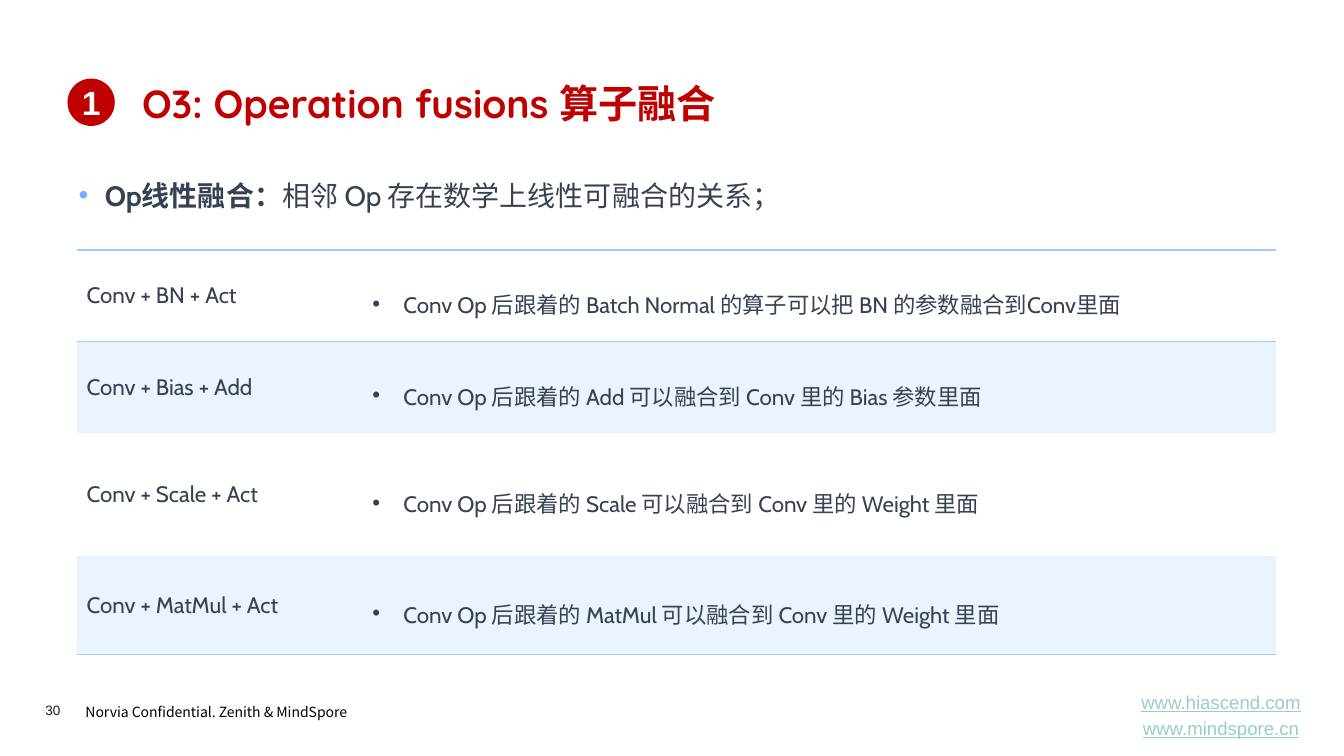
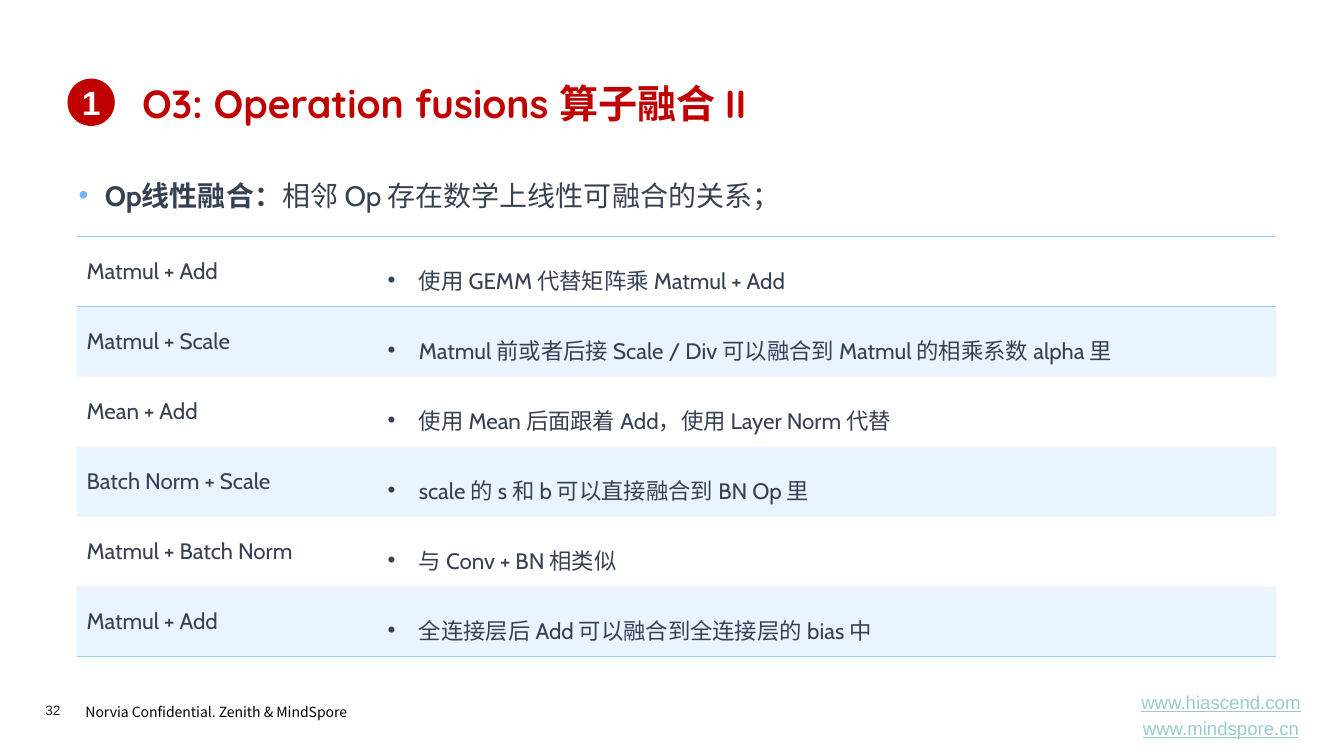
"""Build two slides on operator fusion."""
from dataclasses import dataclass

from lxml.etree import SubElement as Sub
from pptx import Presentation
from pptx.dml.color import RGBColor as Rgb
from pptx.enum.shapes import MSO_SHAPE as Shape
from pptx.enum.text import MSO_ANCHOR as Anchor, MSO_AUTO_SIZE as AutoSize, PP_ALIGN as Align
from pptx.oxml import parse_xml
from pptx.oxml.ns import nsdecls, qn
from pptx.util import Inches, Pt

NO_STYLE = "{2D5ABB26-0587-4C30-8999-92F81FD0307C}"


@dataclass(frozen=True)
class Theme:
    """Colours, fonts and type formats shared by the slides."""
    red: str = "C00000"
    sky: str = "99CCFF"
    bullet: str = "71B2FF"
    ink: str = "374154"
    cjk: str = "Noto Sans CJK SC"

    def type_style(self, part):
        """Return the font values for one part of a slide."""
        return {
            "title": dict(name="Quicksand", size=28, color=self.red, bold=True),
            "lead": dict(name="Cabin", size=20, color=self.ink, bold=True),
            "body": dict(name="Cabin", size=20, color=self.ink, bold=False),
            "cell": dict(name="Cabin", size=16, color=self.ink),
            "badge": dict(name="Arial", size=24, color="FFFFFF", bold=True),
            "footer": dict(name=self.cjk, size=10, color="000000"),
            "page": dict(name="Arial", size=9.7, color="1D1D1B"),
            "link": dict(name="Arial", size=13.3, color="99CCCC", underline=True),
        }[part]


class Deck:
    """Draw elements on the current slide, placed in percent of its size."""

    def __init__(self, theme):
        self.theme = theme
        self.prs = Presentation()
        self.prs.slide_width, self.prs.slide_height = Inches(13.34), Inches(7.5)

    def across(self, share):
        """Turn a percentage of the slide width into a length."""
        return round(self.prs.slide_width * share / 100)

    def down(self, share):
        """Turn a percentage of the slide height into a length."""
        return round(self.prs.slide_height * share / 100)

    def area(self, left, top, width, height):
        """Turn four percentages into a left, top, width and height."""
        return self.across(left), self.down(top), self.across(width), self.down(height)

    def add_runs(self, paragraph, *parts, **layout):
        """Add (text, style name) runs and set paragraph values."""
        for key, value in layout.items():
            setattr(paragraph, key, value)
        for text, part in parts:
            run = paragraph.add_run()
            run.text = text
            for key, value in self.theme.type_style(part).items():
                if key == "color":
                    run.font.color.rgb = Rgb.from_string(value)
                else:
                    setattr(run.font, key, Pt(value) if key == "size" else value)
            Sub(run.font._element, qn("a:ea"), typeface=self.theme.cjk)

    def bullet(self, paragraph, indent, color):
        """Give a paragraph a hanging round bullet."""
        props = paragraph._p.get_or_add_pPr()
        props.set("marL", str(Inches(indent)))
        props.set("indent", str(-Inches(indent)))
        Sub(Sub(props, qn("a:buClr")), qn("a:srgbClr"), val=color)
        Sub(props, qn("a:buFont"), typeface="Arial")
        Sub(props, qn("a:buChar"), char="•")

    def frame(self, shape, **values):
        """Set the wrap, fit and anchor of a shape's text."""
        settings = dict(word_wrap=True, auto_size=AutoSize.NONE, vertical_anchor=Anchor.TOP)
        for key, value in {**settings, **values}.items():
            setattr(shape.text_frame, key, value)
        return shape.text_frame

    def placeholder(self, index, *area):
        """Move a template placeholder and return its text frame."""
        holder = self.slide.placeholders[index]
        holder.left, holder.top, holder.width, holder.height = self.area(*area)
        return self.frame(holder)

    def text(self, area, part, *lines, frame=None, **layout):
        """Add a text box with one paragraph for each line."""
        box = self.frame(self.slide.shapes.add_textbox(*self.area(*area)), **(frame or {}))
        for number, line in enumerate(lines):
            paragraph = box.add_paragraph() if number else box.paragraphs[0]
            gap = Pt(self.theme.type_style(part)["size"] * 0.2 if number else 0)
            self.add_runs(paragraph, (line, part), space_before=gap, **layout)

    def start_slide(self, title, page):
        """Start a slide with its title, badge, lead line and footer."""
        self.slide = self.prs.slides.add_slide(self.prs.slide_layouts[1])
        heading = self.placeholder(0, 9.82, 9.87, 85.16, 8.53)
        self.add_runs(heading.paragraphs[0], (title, "title"), alignment=Align.LEFT)
        lead = self.placeholder(1, 5.1, 20.67, 89.88, 8.53).paragraphs[0]
        self.bullet(lead, 0.26, self.theme.bullet)
        self.add_runs(lead, ("Op线性融合：", "lead"), ("相邻 Op 存在数学上线性可融合的关系；", "body"),
                      line_spacing=1.5, space_before=Pt(0))
        self.badge("1")
        flush = dict.fromkeys(("margin_left", "margin_top", "margin_right", "margin_bottom"), 0)
        self.text((5.62, 92, 23.46, 3.87), "footer", "Norvia Confidential. Zenith & MindSpore",
                  line_spacing=1.2)
        self.text((3.37, 92.8, 4.12, 2.13), "page", page, frame=flush)
        self.text((82.76, 91.73, 16.19, 5.73), "link", "www.hiascend.com", "www.mindspore.cn",
                  frame=dict(vertical_anchor=Anchor.MIDDLE), alignment=Align.CENTER)

    def badge(self, number):
        """Add the numbered circle beside the title."""
        circle = self.slide.shapes.add_shape(Shape.OVAL, *self.area(5.02, 10.4, 3.52, 6.27))
        circle.shadow.inherit = False
        circle.fill.solid()
        circle.fill.fore_color.rgb = Rgb.from_string(self.theme.red)
        circle.line.fill.background()
        label = self.frame(circle, word_wrap=False, vertical_anchor=Anchor.MIDDLE,
                           margin_left=0, margin_right=0, margin_top=0, margin_bottom=0)
        self.add_runs(label.paragraphs[0], (number, "badge"), alignment=Align.CENTER)

    def shade(self, cell, banded, edges):
        """Fill a cell if banded and rule the given edges."""
        props = cell._tc.get_or_add_tcPr()
        if banded:
            cell.fill.solid()
            cell.fill.fore_color.rgb = Rgb.from_string(self.theme.sky)
            Sub(props.find(f".//{qn('a:srgbClr')}"), qn("a:alpha"), val="20000")
        else:
            cell.fill.background()
        for place, edge in enumerate(edges):
            props.insert(place, parse_xml(
                f'<a:ln{edge} {nsdecls("a")} w="12700"><a:solidFill>'
                f'<a:srgbClr val="{self.theme.sky}"/></a:solidFill></a:ln{edge}>'))

    def table(self, top, columns, heights, rows):
        """Add the table of fusion patterns and their rules."""
        area = self.area(5.7, top, sum(columns), sum(heights))
        grid = self.slide.shapes.add_table(len(rows), len(columns), *area).table
        grid.first_row = grid.horz_banding = False
        grid._tbl.tblPr.find(qn("a:tableStyleId")).text = NO_STYLE
        for column, width in zip(grid.columns, columns):
            column.width = self.across(width)
        for number, (row, height, texts) in enumerate(zip(grid.rows, heights, rows)):
            row.height = self.down(height)
            edges = "TB" if number == 0 else "B" if number == len(rows) - 1 else ""
            for cell in row.cells:
                cell.vertical_anchor = Anchor.MIDDLE
                self.shade(cell, number % 2, edges)
            pattern, rule = (cell.text_frame.paragraphs[0] for cell in row.cells)
            self.add_runs(pattern, (texts[0], "cell"))
            self.bullet(rule, 0.31, self.theme.ink)
            self.add_runs(rule, (texts[1], "cell"), level=1, line_spacing=1.5)


CONV_FUSIONS = [
    ("Conv + BN + Act", "Conv Op 后跟着的 Batch Normal 的算子可以把 BN 的参数融合到Conv里面"),
    ("Conv + Bias + Add", "Conv Op 后跟着的 Add 可以融合到 Conv 里的 Bias 参数里面"),
    ("Conv + Scale + Act", "Conv Op 后跟着的 Scale 可以融合到 Conv 里的 Weight 里面"),
    ("Conv + MatMul + Act", "Conv Op 后跟着的 MatMul 可以融合到 Conv 里的 Weight 里面"),
]
MATMUL_FUSIONS = [
    ("Matmul + Add", "使用 GEMM 代替矩阵乘 Matmul + Add"),
    ("Matmul + Scale", "Matmul 前或者后接 Scale / Div 可以融合到 Matmul 的相乘系数 alpha 里"),
    ("Mean + Add", "使用 Mean 后面跟着 Add，使用 Layer Norm 代替"),
    ("Batch Norm + Scale", "scale 的 s 和 b 可以直接融合到 BN Op 里"),
    ("Matmul + Batch Norm", "与 Conv + BN 相类似"),
    ("Matmul + Add", "全连接层后 Add 可以融合到全连接层的 bias 中"),
]


def main():
    """Build and save the slides."""
    deck = Deck(Theme())
    deck.start_slide("O3: Operation fusions 算子融合", "30")
    deck.table(33.07, (21.25, 68), (12.1, 12.1, 16.27, 13.05), CONV_FUSIONS)
    deck.start_slide("O3: Operation fusions 算子融合 II", "32")
    deck.table(31.33, (22.4, 66.85), [9.25] * len(MATMUL_FUSIONS), MATMUL_FUSIONS)
    deck.prs.save("out.pptx")


if __name__ == "__main__":
    main()
